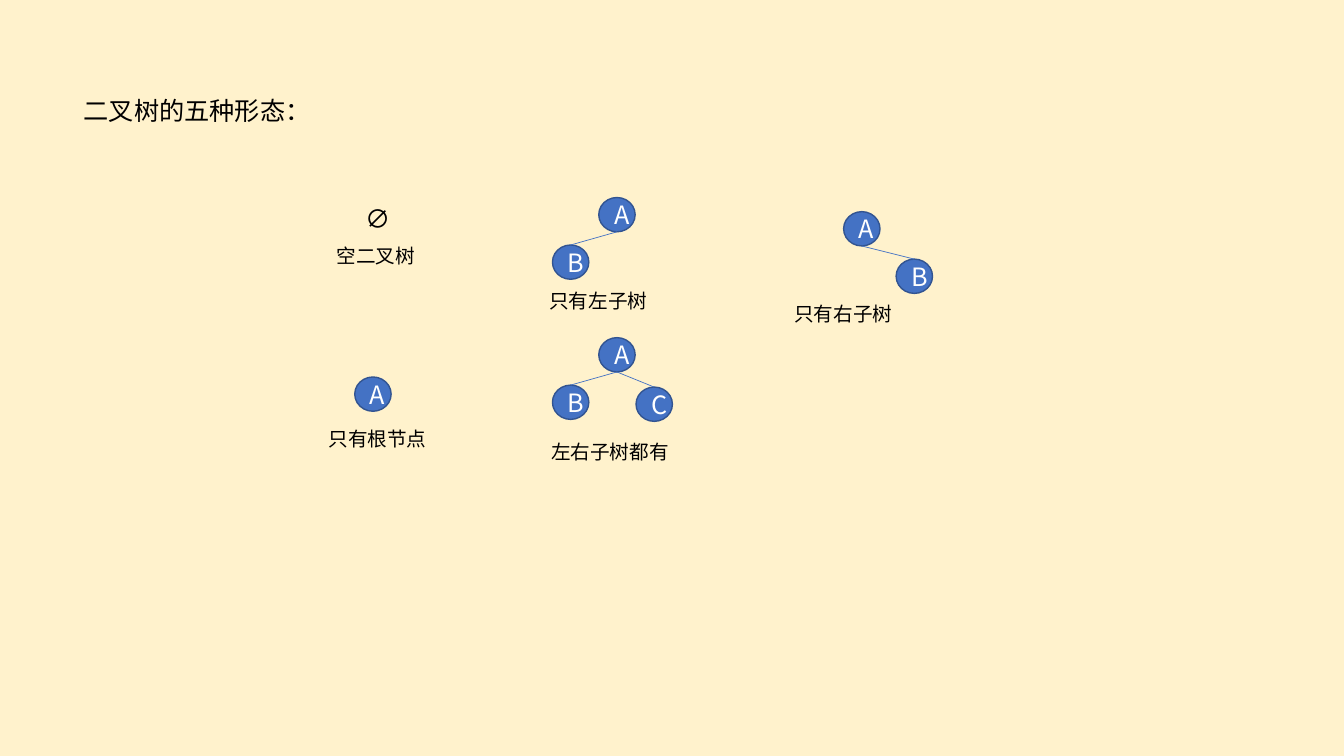
"""Build a slide that shows the five shapes of a binary tree."""
import pptx
import pptx.dml.color
import pptx.enum.shapes
import pptx.enum.text
import pptx.oxml.ns
import pptx.util
from lxml import etree

Pt = pptx.util.Pt
FONT = "Noto Sans CJK SC"
COLORS = {"back": "FFF2CC", "node": "4472C4", "edge": "325491",
          "text": "000000", "white": "FFFFFF"}
WIDE, HIGH = 26, 24.5
ALIGN = pptx.enum.text.PP_ALIGN
ANCHOR = pptx.enum.text.MSO_ANCHOR

TREES = [
    (427.7, 141.1, "A", [("B", -33.1, 33.9)]),
    (602.6, 151.2, "A", [("B", 37.5, 33.9)]),
    (253.4, 269.3, "A", []),
    (427.7, 241.2, "A", [("B", -33.1, 33.9), ("C", 26.6, 35.3)]),
]
LABELS = [
    ("∅", 254.2, 141.8, 25.2, 28.8, 18),
    ("空二叉树", 233.3, 170.6, 77.8, 22.3, 14),
    ("只有左子树", 385.2, 203, 94.3, 20.2, 14),
    ("只有右子树", 560.2, 212.4, 94.3, 20.2, 14),
    ("只有根节点", 227.5, 301.7, 92.9, 28.1, 14),
    ("左右子树都有", 386.6, 311, 108, 28.1, 14),
]


def color(name):
    return pptx.dml.color.RGBColor.from_string(COLORS[name])


def write(shape, text, size=18, ink="text", align=ALIGN.LEFT, anchor=ANCHOR.TOP):
    frame = shape.text_frame
    frame.word_wrap = True
    frame.vertical_anchor = anchor
    para = frame.paragraphs[0]
    para.alignment = align
    para.line_spacing = 1.0
    run = para.add_run()
    run.text = text
    run.font.size = Pt(size)
    run.font.name = FONT
    run.font.color.rgb = color(ink)
    east = etree.SubElement(run.font._element, pptx.oxml.ns.qn("a:ea"))
    east.set("typeface", FONT)


def head(slide, text, left, top, width, height):
    title = slide.shapes.title
    title.left, title.top = Pt(left), Pt(top)
    title.width, title.height = Pt(width), Pt(height)
    write(title, text)
    title.text_frame.auto_size = pptx.enum.text.MSO_AUTO_SIZE.SHAPE_TO_FIT_TEXT


def label(slide, text, left, top, width, height, size):
    box = slide.shapes.add_textbox(Pt(left), Pt(top), Pt(width), Pt(height))
    write(box, text, size=size)


def node(slide, text, left, top):
    oval = slide.shapes.add_shape(pptx.enum.shapes.MSO_SHAPE.OVAL,
                                  Pt(left), Pt(top), Pt(WIDE), Pt(HIGH))
    oval.shadow.inherit = False
    oval.fill.solid()
    oval.fill.fore_color.rgb = color("node")
    oval.line.color.rgb = color("edge")
    oval.line.width = Pt(1)
    write(oval, text, ink="white", align=ALIGN.CENTER, anchor=ANCHOR.MIDDLE)
    return oval


def branch(slide, left, top, child):
    x, y = Pt(left + WIDE / 2), Pt(top + HIGH)
    line = slide.shapes.add_connector(
        pptx.enum.shapes.MSO_CONNECTOR.STRAIGHT, x, y, x, y)
    line.end_connect(child, 0)
    line.line.color.rgb = color("node")
    line.line.width = Pt(0.5)
    etree.SubElement(line._element.spPr, pptx.oxml.ns.qn("a:effectLst"))


def tree(slide, left, top, root, kids):
    node(slide, root, left, top)
    for name, across, down in kids:
        child = node(slide, name, left + across, top + down)
        branch(slide, left, top, child)


def main():
    deck = pptx.Presentation()
    deck.slide_width, deck.slide_height = Pt(960), Pt(540)
    slide = deck.slides.add_slide(deck.slide_layouts[5])
    slide.background.fill.solid()
    slide.background.fill.fore_color.rgb = color("back")
    head(slide, "二叉树的五种形态：", 52.6, 64.8, 480.2, 28.8)
    for item in TREES:
        tree(slide, *item)
    for item in LABELS:
        label(slide, *item)
    deck.save("out.pptx")


if __name__ == "__main__":
    main()
